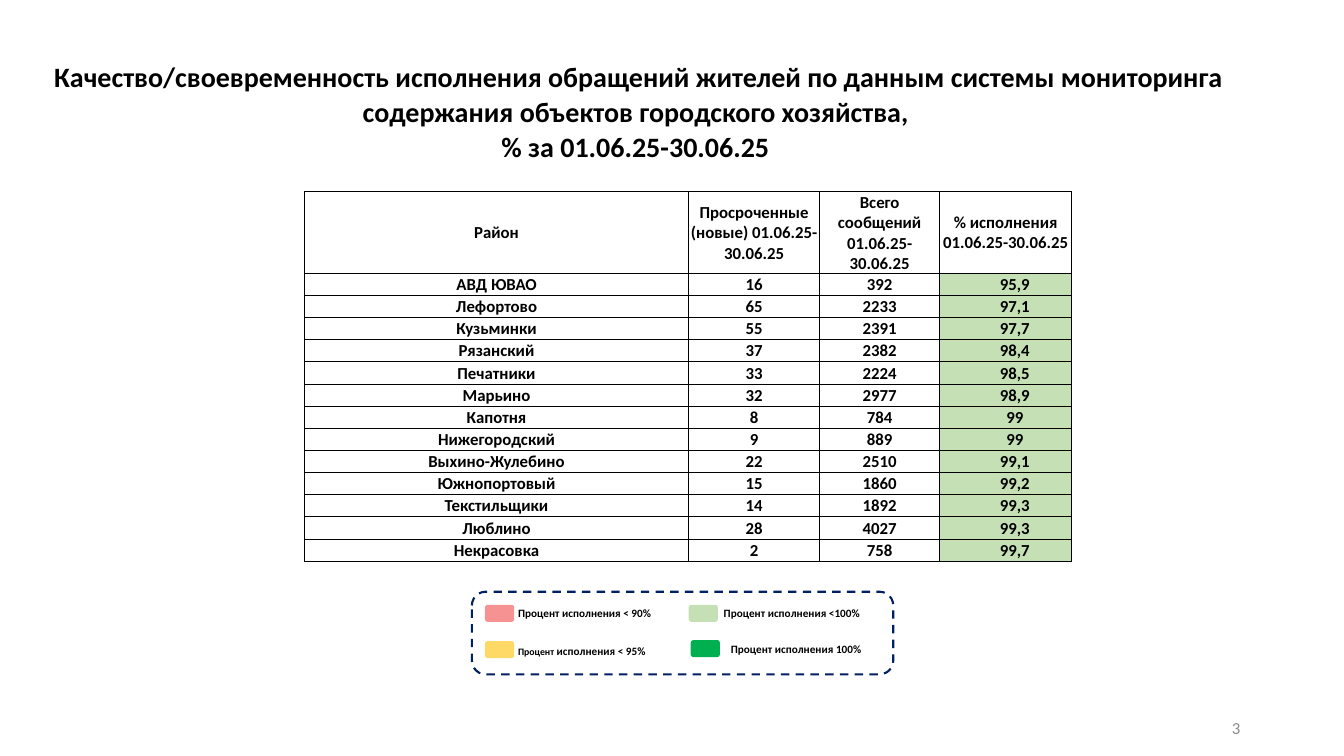
from dataclasses import dataclass
from pptx import Presentation, util as u
from pptx.dml.color import RGBColor
from pptx.enum import dml, shapes, text
from pptx.oxml import parse_xml
from pptx.oxml.ns import nsdecls


@dataclass(frozen=True)
class Theme:
    """Colours, font and type sizes of the slide."""
    face: str = "Calibri"
    ink: str = "000000"
    grey: str = "8C8C8C"
    navy: str = "002060"
    red: str = "F69292"
    gold: str = "FFD966"
    pale: str = "C5E0B4"
    green: str = "00B050"
    head: int = 20
    cell: int = 12
    page: int = 12
    key: int = 8
    small: int = 7


T = Theme()
HEADS = ["Район", "Просроченные (новые) 01.06.25-30.06.25",
         "Всего сообщений 01.06.25-30.06.25", "% исполнения 01.06.25-30.06.25"]
ROWS = [
    ("АВД ЮВАО", "16", "392", "95,9"),
    ("Лефортово", "65", "2233", "97,1"),
    ("Кузьминки", "55", "2391", "97,7"),
    ("Рязанский", "37", "2382", "98,4"),
    ("Печатники", "33", "2224", "98,5"),
    ("Марьино", "32", "2977", "98,9"),
    ("Капотня", "8", "784", "99"),
    ("Нижегородский", "9", "889", "99"),
    ("Выхино-Жулебино", "22", "2510", "99,1"),
    ("Южнопортовый", "15", "1860", "99,2"),
    ("Текстильщики", "14", "1892", "99,3"),
    ("Люблино", "28", "4027", "99,3"),
    ("Некрасовка", "2", "758", "99,7"),
]
KEYS = [
    (0.13, 0.13, 0.36, 0.10, T.red, ["Процент исполнения < 90%"]),
    (0.13, 0.49, 0.36, 0.47, T.gold, ["Процент", " исполнения < 95%"]),
    (2.15, 0.13, 2.40, 0.10, T.pale, ["Процент исполнения <100%"]),
    (2.17, 0.48, 2.47, 0.45, T.green, ["Процент исполнения 100%"]),
]


def inch(*nums):
    """Turn numbers into lengths."""
    return [u.Inches(n) for n in nums]


def style(para, size, tint=T.ink, bold=True, align=text.PP_ALIGN.CENTER):
    """Set the alignment and font of a paragraph."""
    para.alignment = align
    font = para.font
    font.name, font.size, font.bold = T.face, u.Pt(size), bold
    font.color.rgb = RGBColor.from_string(tint)


def title(slide, box):
    """Fill the title placeholder with two paragraphs."""
    head = slide.shapes.title
    head.left, head.top, head.width, head.height = inch(*box)
    frame = head.text_frame
    frame.auto_size = text.MSO_AUTO_SIZE.NONE
    frame.vertical_anchor = text.MSO_ANCHOR.TOP
    frame.text = ("Качество/своевременность исполнения обращений жителей по данным "
                  "системы мониторинга содержания объектов городского хозяйства, \n"
                  "% за 01.06.25-30.06.25 ")
    for para in frame.paragraphs:
        style(para, T.head)
        para.line_spacing = u.Pt(25)


def fill_cell(cell, words, inset=0.01, tint=None):
    """Write one bordered table cell."""
    cell.text = words
    style(cell.text_frame.paragraphs[0], T.cell)
    cell.vertical_anchor = text.MSO_ANCHOR.MIDDLE
    (cell.margin_left, cell.margin_top,
     cell.margin_right, cell.margin_bottom) = inch(inset, 0.01, 0.01, 0)
    props = cell._tc.get_or_add_tcPr()
    for side in "LRTB":
        props.append(parse_xml(
            f'<a:ln{side} {nsdecls("a")} w="6350"><a:solidFill>'
            f'<a:srgbClr val="{T.ink}"/></a:solidFill></a:ln{side}>'))
    if tint:
        cell.fill.solid()
        cell.fill.fore_color.rgb = RGBColor.from_string(tint)
    else:
        cell.fill.background()


def grid(slide, box):
    """Place the table of districts."""
    table = slide.shapes.add_table(len(ROWS) + 1, len(HEADS), *inch(*box)).table
    table.first_row = table.horz_banding = False
    for col, wide in zip(table.columns, (3.81, 1.3, 1.19, 1.31)):
        col.width = u.Inches(wide)
    for i, row in enumerate(table.rows):
        row.height = u.Inches(0.22 if i else 0.66)
    for c, words in enumerate(HEADS):
        fill_cell(table.cell(0, c), words)
    for r, row in enumerate(ROWS, 1):
        for c, words in enumerate(row[:-1]):
            fill_cell(table.cell(r, c), words)
        fill_cell(table.cell(r, len(row) - 1), row[-1], 0.19, T.pale)


def round_box(slide, box, tint=None):
    """Add a rounded box, filled or with a dashed edge."""
    shape = slide.shapes.add_shape(shapes.MSO_SHAPE.ROUNDED_RECTANGLE, *inch(*box))
    shape.shadow.inherit = False
    if tint:
        shape.fill.solid()
        shape.fill.fore_color.rgb = RGBColor.from_string(tint)
        shape.line.fill.background()
    else:
        shape.fill.background()
        shape.line.color.rgb = RGBColor.from_string(T.navy)
        shape.line.width = u.Pt(1.5)
        shape.line.dash_style = dml.MSO_LINE.DASH


def legend(slide, box):
    """Draw the colour key inside a dashed frame."""
    left, top = box[:2]
    round_box(slide, box)
    for x, y, tx, ty, tint, parts in KEYS:
        round_box(slide, (left + x, top + y, 0.29, 0.17), tint)
        label = slide.shapes.add_textbox(*inch(left + tx, top + ty, 1.6, 0.24))
        label.text_frame.word_wrap = True
        para = label.text_frame.paragraphs[0]
        for part in parts:
            para.add_run().text = part
        style(para, T.key, align=text.PP_ALIGN.LEFT)
        if len(parts) > 1:
            para.runs[0].font.size = u.Pt(T.small)


def number(slide, box):
    """Write the page number."""
    frame = slide.shapes.add_textbox(*inch(*box)).text_frame
    frame.word_wrap = True
    frame.vertical_anchor = text.MSO_ANCHOR.MIDDLE
    frame.text = "3"
    style(frame.paragraphs[0], T.page, T.grey, False, text.PP_ALIGN.RIGHT)


def main():
    """Build and save the slide."""
    deck = Presentation()
    deck.slide_width, deck.slide_height = inch(13.33, 7.5)
    slide = deck.slides.add_slide(deck.slide_layouts[5])
    title(slide, (0.27, 0.53, 12.13, 1.14))
    number(slide, (9.4, 7.02, 3, 0.4))
    legend(slide, (4.68, 5.87, 4.18, 0.82))
    grid(slide, (3.02, 1.9, 7.61, 3.52))
    deck.save("out.pptx")


if __name__ == "__main__":
    main()
